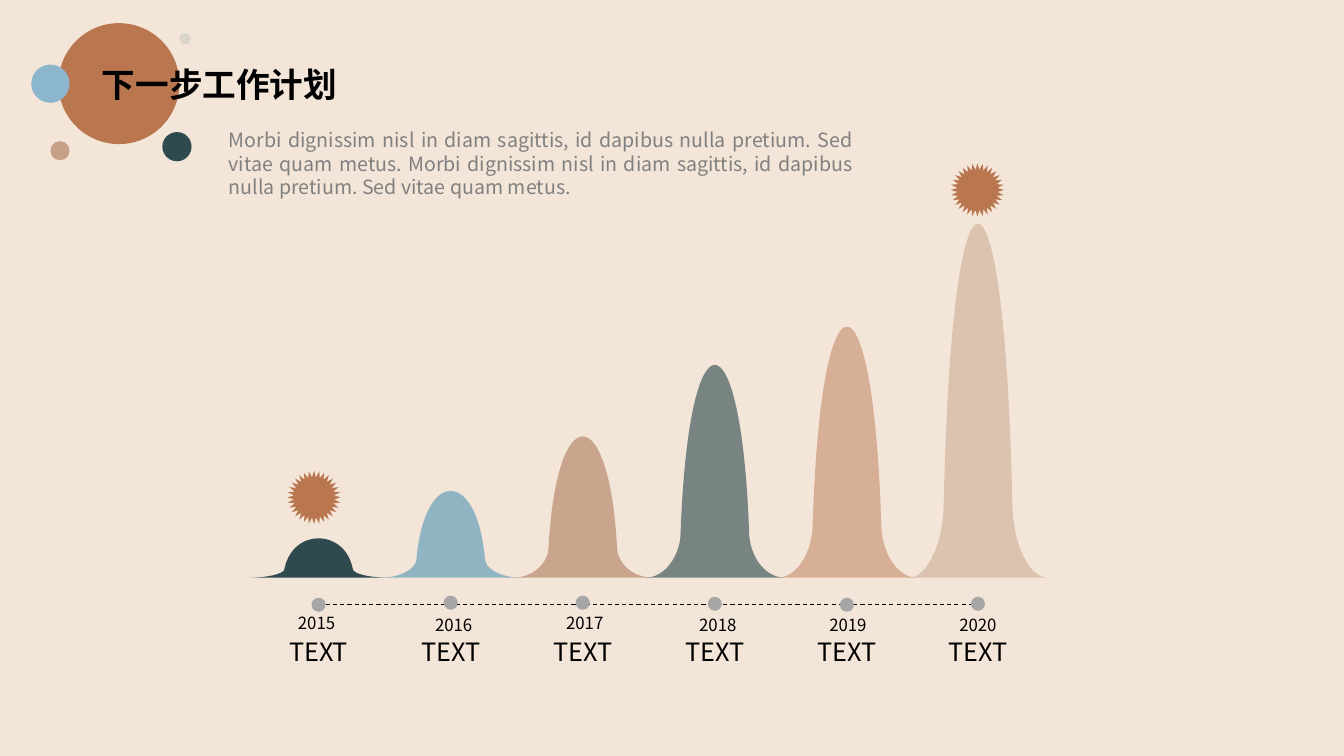
from pptx import Presentation
from pptx.dml.color import RGBColor
from pptx.enum.dml import MSO_LINE
from pptx.enum.shapes import MSO_CONNECTOR, MSO_SHAPE
from pptx.enum.text import MSO_ANCHOR, PP_ALIGN
from pptx.oxml.ns import qn
from pptx.util import Inches, Pt
from lxml.etree import Element, SubElement

FONT = "Noto Sans CJK SC"
BACKGROUND, BLACK, GREY, DOT_GREY = "F3E5D8", "000000", "808080", "A6A6A6"
RUST, BLUE, TAN, TEAL, PALE = "BA764F", "8BB6CB", "C5A086", "2E4A4E", "D9D5CA"

TITLE = "下一步工作计划"
INTRO = ("Morbi dignissim nisl in diam sagittis, id dapibus nulla pretium. "
         "Sed vitae quam metus. Morbi dignissim nisl in diam sagittis, "
         "id dapibus nulla pretium. Sed vitae quam metus.")
LABEL = "TEXT"

# year, hill height, colour, opacity in percent, dot top, year left, year top
HILLS = [
    ("2015", 0.39, TEAL, 100, 5.93, 2.82, 6.03),
    ("2016", 0.86, "91B4C3", 100, 5.91, 4.18, 6.05),
    ("2017", 1.40, TAN, 92, 5.91, 5.48, 6.03),
    ("2018", 2.11, TEAL, 62, 5.92, 6.80, 6.05),
    ("2019", 2.49, RUST, 48, 5.93, 8.09, 6.05),
    ("2020", 3.51, TAN, 48, 5.92, 9.38, 6.05),
]
# left, top, diameter, colour
TITLE_CIRCLES = [
    (0.58, 0.23, 1.20, RUST),
    (0.31, 0.64, 0.38, BLUE),
    (0.50, 1.40, 0.19, TAN),
    (1.61, 1.31, 0.29, TEAL),
    (1.78, 0.33, 0.11, PALE),
]
STARS = [(2.85, 4.67), (9.43, 1.62)]
FIRST_CENTER, PITCH, LAST_CENTER = 3.16, 1.31, 9.70
GROUND, AXIS = 5.73, 6.00

# Hill outline: x from its centre in inches, y as a share of its height.
# Each segment lists the control points, if curved, and then its end.
HILL_TOP = (0, 0)
HILL_LEFT = -0.68
HILL_SEGMENTS = [
    [(0.15, 0), (0.30, 0.26), (0.34, 0.78)],
    [(0.34, 0.90), (0.50, 1), (0.69, 1)],
    [(HILL_LEFT, 1)],
    [(-0.50, 1), (-0.35, 0.90), (-0.34, 0.80)],
    [(-0.30, 0.26), (-0.15, 0), HILL_TOP],
]


def color(hex_string):
    return RGBColor.from_string(hex_string)


def paint(shape, fill, opacity=100):
    shape.shadow.inherit = False
    shape.fill.solid()
    shape.fill.fore_color.rgb = color(fill)
    shape.line.fill.background()
    if opacity < 100:
        fill_color = shape.fill._xPr.find(qn("a:solidFill"))[0]
        SubElement(fill_color, qn("a:alpha"), val=str(opacity * 1000))


def add_round(slide, kind, left, top, size, fill):
    shape = slide.shapes.add_shape(
        kind, Inches(left), Inches(top), Inches(size), Inches(size))
    paint(shape, fill)


def write(shape, text, size, align, fill=BLACK, bold=False, wrap=True,
          anchor=MSO_ANCHOR.MIDDLE):
    frame = shape.text_frame
    frame.text = text
    frame.word_wrap = wrap
    frame.vertical_anchor = anchor
    paragraph = frame.paragraphs[0]
    paragraph.alignment = align
    font = paragraph.runs[0].font
    for name, value in {"name": FONT, "size": Pt(size), "bold": bold}.items():
        setattr(font, name, value)
    font.color.rgb = color(fill)
    properties = paragraph.runs[0]._r.get_or_add_rPr()
    SubElement(properties, qn("a:ea"), typeface=FONT)


def add_text(slide, box, *content, **options):
    shape = slide.shapes.add_textbox(*map(Inches, box))
    write(shape, *content, **options)


def bend_segments(shape, height):
    """Turn the straight segments that have control points into curves."""
    lines = list(shape._element.iter(qn("a:lnTo")))
    for line, (*controls, _) in zip(lines, HILL_SEGMENTS):
        if not controls:
            continue
        curve = Element(qn("a:cubicBezTo"))
        for x, y in controls:
            SubElement(curve, qn("a:pt"), x=str(Inches(x - HILL_LEFT)),
                       y=str(Inches(y * height)))
        line.addprevious(curve)
        curve.append(line[0])
        line.getparent().remove(line)


def add_hill(slide, center, height, fill, opacity):
    ends = [HILL_TOP] + [segment[-1] for segment in HILL_SEGMENTS]
    points = [(Inches(center + x), Inches(GROUND - height * (1 - y)))
              for x, y in ends]
    builder = slide.shapes.build_freeform(*points[0])
    builder.add_line_segments(points[1:], close=True)
    hill = builder.convert_to_shape()
    bend_segments(hill, height)
    paint(hill, fill, opacity)


def add_axis(slide):
    axis = slide.shapes.add_connector(
        MSO_CONNECTOR.STRAIGHT, Inches(FIRST_CENTER), Inches(AXIS),
        Inches(LAST_CENTER), Inches(AXIS))
    axis.line.color.rgb = color(BLACK)
    axis.line.width = Pt(0.75)
    axis.line.dash_style = MSO_LINE.DASH
    SubElement(axis._element.spPr, qn("a:effectLst"))


def add_title(slide):
    title = slide.shapes.title
    box = {"left": 0.91, "top": 0.58, "width": 2.54, "height": 0.5}
    for name, value in box.items():
        setattr(title, name, Inches(value))
    write(title, TITLE, 24, PP_ALIGN.LEFT, bold=True, wrap=False)
    slide.shapes._spTree.append(title._element)  # in front of the circles


def main():
    presentation = Presentation()
    presentation.slide_width = Inches(13.33)
    presentation.slide_height = Inches(7.5)
    slide = presentation.slides.add_slide(presentation.slide_layouts[5])
    slide.background.fill.solid()
    slide.background.fill.fore_color.rgb = color(BACKGROUND)

    add_text(slide, (2.17, 1.22, 6.39, 0.81), INTRO, 14, PP_ALIGN.JUSTIFY,
             fill=GREY, anchor=MSO_ANCHOR.TOP)
    add_axis(slide)
    for index, hill in enumerate(HILLS):
        year, height, fill, opacity, dot_top, year_left, year_top = hill
        center = min(FIRST_CENTER + index * PITCH, LAST_CENTER)
        add_round(slide, MSO_SHAPE.OVAL, center - 0.07, dot_top, 0.14, DOT_GREY)
        add_text(slide, (year_left, year_top, 0.64, 0.3), year, 12,
                 PP_ALIGN.CENTER)
        add_hill(slide, center, height, fill, opacity)
        add_text(slide, (center - 0.75, 6.26, 1.5, 0.4), LABEL, 18,
                 PP_ALIGN.CENTER)
    for left, top in STARS:
        add_round(slide, MSO_SHAPE.STAR_32_POINT, left, top, 0.53, RUST)
    for circle in TITLE_CIRCLES:
        add_round(slide, MSO_SHAPE.OVAL, *circle)
    add_title(slide)
    presentation.save("out.pptx")


if __name__ == "__main__":
    main()
